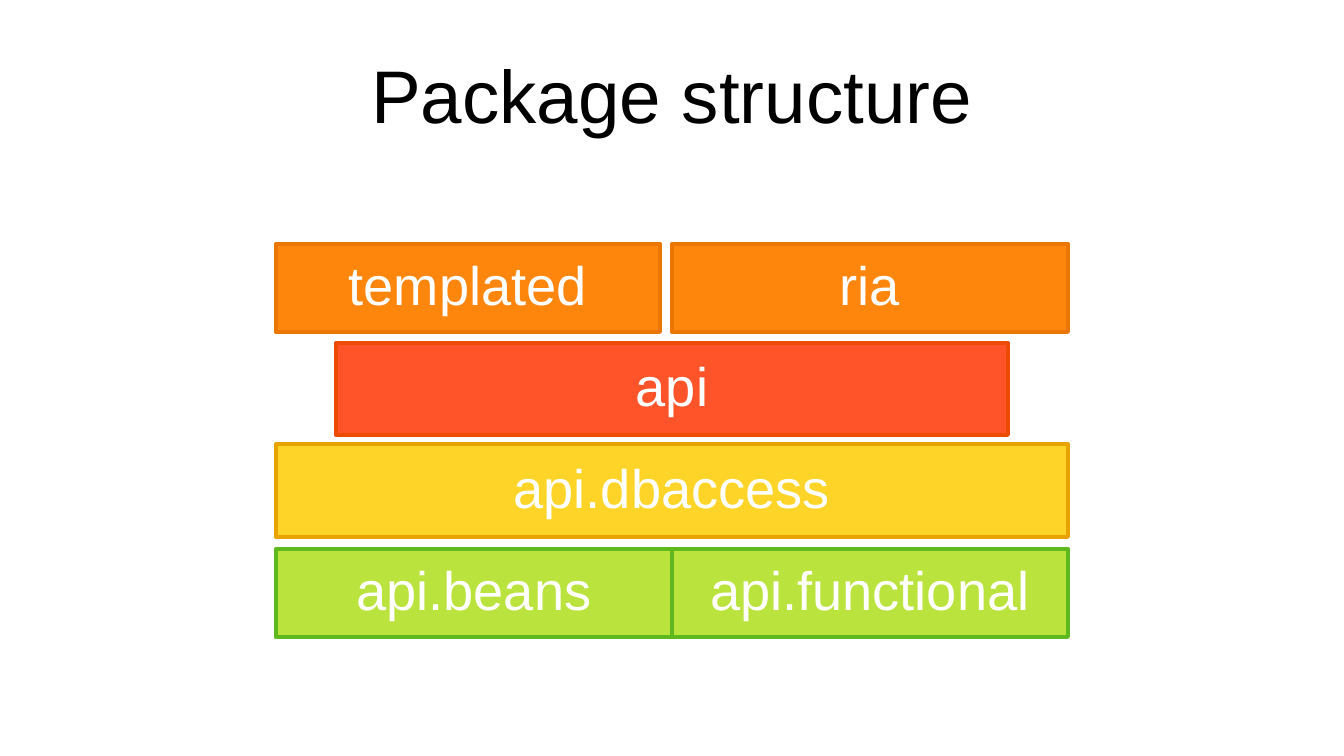
import dataclasses

import pptx
import pptx.dml.color
import pptx.enum.shapes
import pptx.enum.text
import pptx.util

SCALE = 914400 / 122  # EMU in one px


@dataclasses.dataclass(frozen=True)
class Theme:
    font: str = "Arial"
    title_size: int = 44
    box_size: int = 32
    line_width: float = 2.3
    title_color: str = "000000"
    box_text: str = "FFFFFF"
    # Fill and line of each kind of layer
    orange: tuple = ("FF860D", "EA7500")
    red: tuple = ("FF5429", "ED4C05")
    yellow: tuple = ("FFD428", "E8A202")
    green: tuple = ("BBE33D", "5EB91E")


THEME = Theme()

# Stack geometry in px
LEFT = 276
HALF = 396
FULL = 2 * HALF
MIDDLE = LEFT + HALF
API_INDENT = 60
TEMPLATED_GAP = 12


def px(n):
    return pptx.util.Emu(round(n * SCALE))


def rgb(color):
    return pptx.dml.color.RGBColor.from_string(color)


def write_text(sp, text, *, size, color, inset=0, line_spacing=None, space_after=None):
    tf = sp.text_frame
    tf.word_wrap = True
    tf.auto_size = pptx.enum.text.MSO_AUTO_SIZE.NONE
    tf.vertical_anchor = pptx.enum.text.MSO_ANCHOR.MIDDLE
    tf.margin_left = tf.margin_top = tf.margin_right = tf.margin_bottom = px(inset)
    p = tf.paragraphs[0]
    p.alignment = pptx.enum.text.PP_ALIGN.CENTER
    if line_spacing is not None:
        p.line_spacing = line_spacing
    if space_after is not None:
        p.space_after = pptx.util.Pt(space_after)
    r = p.add_run()
    r.text = text
    r.font.name = THEME.font
    r.font.size = pptx.util.Pt(size)
    r.font.color.rgb = rgb(color)


def add_title(slide, text):
    sp = slide.shapes.title
    sp.left, sp.top, sp.width, sp.height = px(67), px(30), px(1210), px(127)
    write_text(sp, text, size=THEME.title_size, color=THEME.title_color)


def add_package(slide, name, left, top, width, height, colors):
    fill, line = colors
    sp = slide.shapes.add_shape(
        pptx.enum.shapes.MSO_SHAPE.RECTANGLE, px(left), px(top), px(width), px(height))
    sp.shadow.inherit = False
    sp.fill.solid()
    sp.fill.fore_color.rgb = rgb(fill)
    sp.line.color.rgb = rgb(line)
    sp.line.width = pptx.util.Pt(THEME.line_width)
    write_text(sp, name, size=THEME.box_size, color=THEME.box_text,
               inset=33, line_spacing=0.9, space_after=6.3)


def main():
    prs = pptx.Presentation()
    prs.slide_width, prs.slide_height = px(1344), px(756)
    slide = prs.slides.add_slide(prs.slide_layouts[5])
    add_title(slide, "Package structure")

    # Layers from top to bottom: top, height, colours, (name, left, width)
    layers = [
        (244, 88, THEME.orange, [("templated", LEFT, HALF - TEMPLATED_GAP),
                                 ("ria", MIDDLE, HALF)]),
        (343, 92, THEME.red, [("api", LEFT + API_INDENT, FULL - 2 * API_INDENT)]),
        (444, 93, THEME.yellow, [("api.dbaccess", LEFT, FULL)]),
        (549, 88, THEME.green, [("api.beans", LEFT, HALF),
                                ("api.functional", MIDDLE, HALF)]),
    ]
    for top, height, colors, packages in layers:
        for name, left, width in packages:
            add_package(slide, name, left, top, width, height, colors)

    prs.save("out.pptx")


if __name__ == "__main__":
    main()
